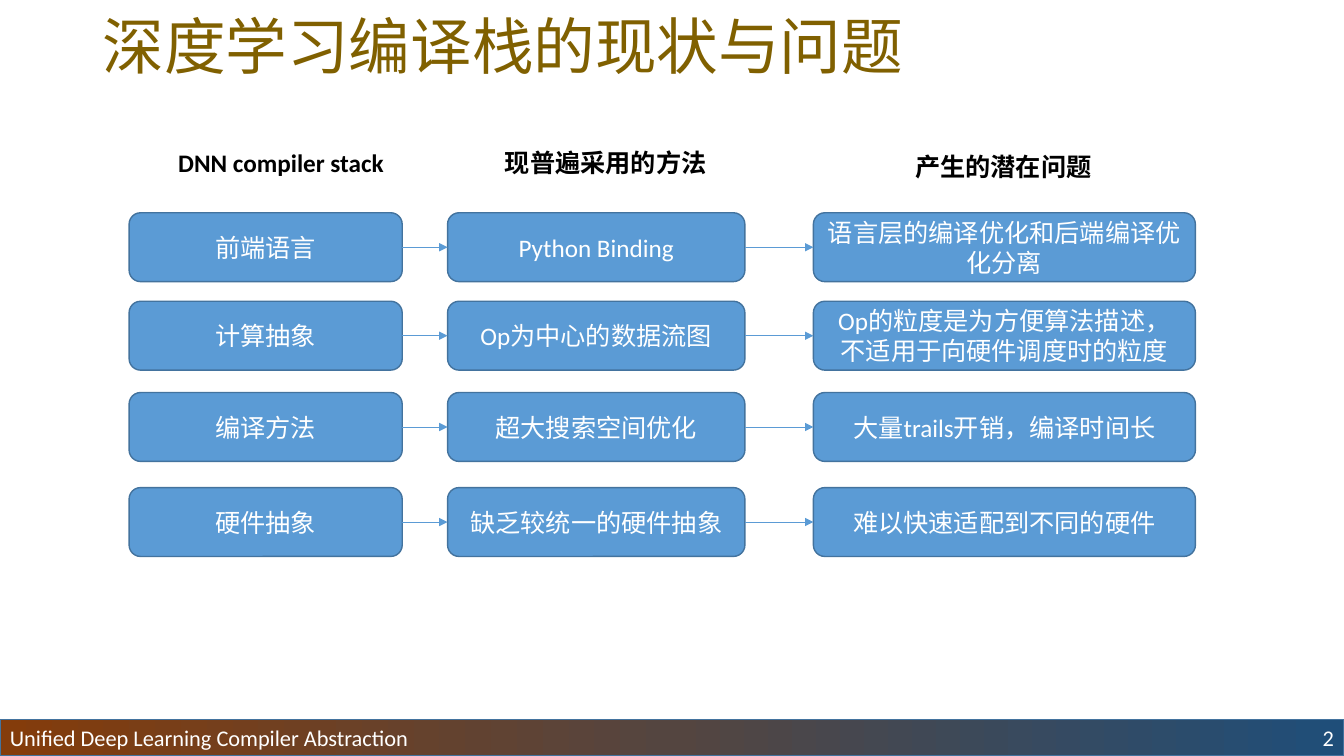
from copy import deepcopy
from dataclasses import dataclass

from lxml import etree
from pptx import Presentation
from pptx.dml.color import RGBColor
from pptx.enum.shapes import MSO_CONNECTOR, MSO_SHAPE
from pptx.enum.text import MSO_ANCHOR, MSO_AUTO_SIZE, PP_ALIGN
from pptx.oxml.ns import qn
from pptx.util import Pt

RECTANGLE, ROUNDED = MSO_SHAPE.RECTANGLE, MSO_SHAPE.ROUNDED_RECTANGLE
STRAIGHT = MSO_CONNECTOR.STRAIGHT
LEFT, CENTER, RIGHT = PP_ALIGN.LEFT, PP_ALIGN.CENTER, PP_ALIGN.RIGHT
TOP, MIDDLE = MSO_ANCHOR.TOP, MSO_ANCHOR.MIDDLE
NO_FIT = MSO_AUTO_SIZE.NONE
LEFT_SITE, RIGHT_SITE = 1, 3
TITLE_ONLY = 5

TITLE = "深度学习编译栈的现状与问题"
FOOTER = "Unified Deep Learning Compiler Abstraction"
PAGE = "2"
COLUMNS = [
    {"left": 92.2, "width": 195.1, "heading": "DNN compiler stack", "heading_at": (120.2, 101.5, 162.7)},
    {"left": 319.7, "width": 212.4, "heading": "现普遍采用的方法", "heading_at": (353.5, 101.5, 159.8)},
    {"left": 581, "width": 272.9, "heading": "产生的潜在问题", "heading_at": (646.6, 104.4, 141.8)},
]
ROWS = [
    (152, ("前端语言", "Python Binding", "语言层的编译优化和后端编译优化分离")),
    (215.2, ("计算抽象", "Op为中心的数据流图", "Op的粒度是为方便算法描述，不适用于向硬件调度时的粒度")),
    (280.4, ("编译方法", "超大搜索空间优化", "大量trails开销，编译时间长")),
    (348.3, ("硬件抽象", "缺乏较统一的硬件抽象", "难以快速适配到不同的硬件")),
]
BOX_HEIGHT = 49.2
HEADING_HEIGHT = 29
SLIDE_WIDTH, SLIDE_HEIGHT = 960, 540
BAR_TOP = 514


@dataclass(frozen=True)
class Theme:
    """Colours, font and type sizes of the slide."""
    font: str = "Calibri"
    title: str = "806000"
    box: str = "5B9BD5"
    outline: str = "43739E"
    dark: str = "000000"
    light: str = "FFFFFF"
    bar: tuple = ("843C0B", "544540", "1F4E79")
    title_size: int = 44
    body_size: int = 18
    footer_size: int = 16


THEME = Theme()
BODY = {"size": Pt(THEME.body_size), "color": THEME.light}
HEADING = {"size": Pt(THEME.body_size), "color": THEME.dark, "bold": True}
FOOTER_FORMAT = {"size": Pt(THEME.footer_size), "color": THEME.light}
TITLE_FORMAT = {"size": Pt(THEME.title_size), "color": THEME.title}


def write_text(shape, text, font_format, align=LEFT, anchor=TOP, wrap=True):
    """Put one formatted paragraph into a shape."""
    frame = shape.text_frame
    frame.auto_size, frame.word_wrap, frame.vertical_anchor = NO_FIT, wrap, anchor
    paragraph = frame.paragraphs[0]
    paragraph.alignment = align
    run = paragraph.add_run()
    run.text = text
    run.font.name = THEME.font
    for name, value in font_format.items():
        if name == "color":
            run.font.color.rgb = RGBColor.from_string(value)
        else:
            setattr(run.font, name, value)
    return paragraph


def add_text(slide, at, text, font_format, **layout):
    """Add a text box at a place given in points."""
    box = slide.shapes.add_textbox(*map(Pt, at))
    write_text(box, text, font_format, **layout)


def add_block(slide, kind, at):
    """Add an outlined shape without a shadow."""
    shape = slide.shapes.add_shape(kind, *map(Pt, at))
    shape.shadow.inherit = False
    shape.line.color.rgb = RGBColor.from_string(THEME.outline)
    shape.line.width = Pt(1)
    return shape


def add_footer(slide):
    """Add the gradient bar with its caption and page number."""
    height = SLIDE_HEIGHT - BAR_TOP
    bar = add_block(slide, RECTANGLE, (0, BAR_TOP, SLIDE_WIDTH, height))
    bar.fill.gradient()
    bar.fill.gradient_angle = 0
    stop_list = bar._element.spPr.find(".//" + qn("a:gsLst"))
    stop_list.append(deepcopy(stop_list[-1]))
    for index, stop in enumerate(bar.fill.gradient_stops):
        stop.position = index / (len(THEME.bar) - 1)
        stop.color.rgb = RGBColor.from_string(THEME.bar[index])
    add_text(slide, (0, BAR_TOP, 642, 26.6), FOOTER, FOOTER_FORMAT)
    add_text(slide, (744, 513.4, 216, 26.6), PAGE, FOOTER_FORMAT, align=RIGHT, anchor=MIDDLE)


def add_title(slide):
    """Place and format the title."""
    title = slide.shapes.title
    title.left, title.top, title.width, title.height = map(Pt, (66, 5, 828, 60.5))
    paragraph = write_text(title, TITLE, TITLE_FORMAT, anchor=MIDDLE)
    paragraph.line_spacing = 0.9


def add_box(slide, column, top, text):
    """Add one rounded box of the grid."""
    box = add_block(slide, ROUNDED, (column["left"], top, column["width"], BOX_HEIGHT))
    box.fill.solid()
    box.fill.fore_color.rgb = RGBColor.from_string(THEME.box)
    write_text(box, text, BODY, align=CENTER, anchor=MIDDLE)
    return box


def add_arrow(slide, source, target):
    """Join two neighbouring boxes with an arrow."""
    arrow = slide.shapes.add_connector(STRAIGHT, 0, 0, 0, 0)
    arrow.begin_connect(source, RIGHT_SITE)
    arrow.end_connect(target, LEFT_SITE)
    arrow.line.color.rgb = RGBColor.from_string(THEME.box)
    arrow.line.width = Pt(0.5)
    etree.SubElement(arrow.line._get_or_add_ln(), qn("a:tailEnd"), type="triangle")
    etree.SubElement(arrow._element.spPr, qn("a:effectLst"))


def main():
    """Build and save the slide."""
    presentation = Presentation()
    presentation.slide_width, presentation.slide_height = Pt(SLIDE_WIDTH), Pt(SLIDE_HEIGHT)
    slide = presentation.slides.add_slide(presentation.slide_layouts[TITLE_ONLY])
    add_footer(slide)
    add_title(slide)
    for top, texts in ROWS:
        boxes = [add_box(slide, column, top, text) for column, text in zip(COLUMNS, texts)]
        for source, target in zip(boxes, boxes[1:]):
            add_arrow(slide, source, target)
    for column in COLUMNS:
        add_text(slide, (*column["heading_at"], HEADING_HEIGHT), column["heading"], HEADING, wrap=False)
    presentation.save("out.pptx")


if __name__ == "__main__":
    main()
